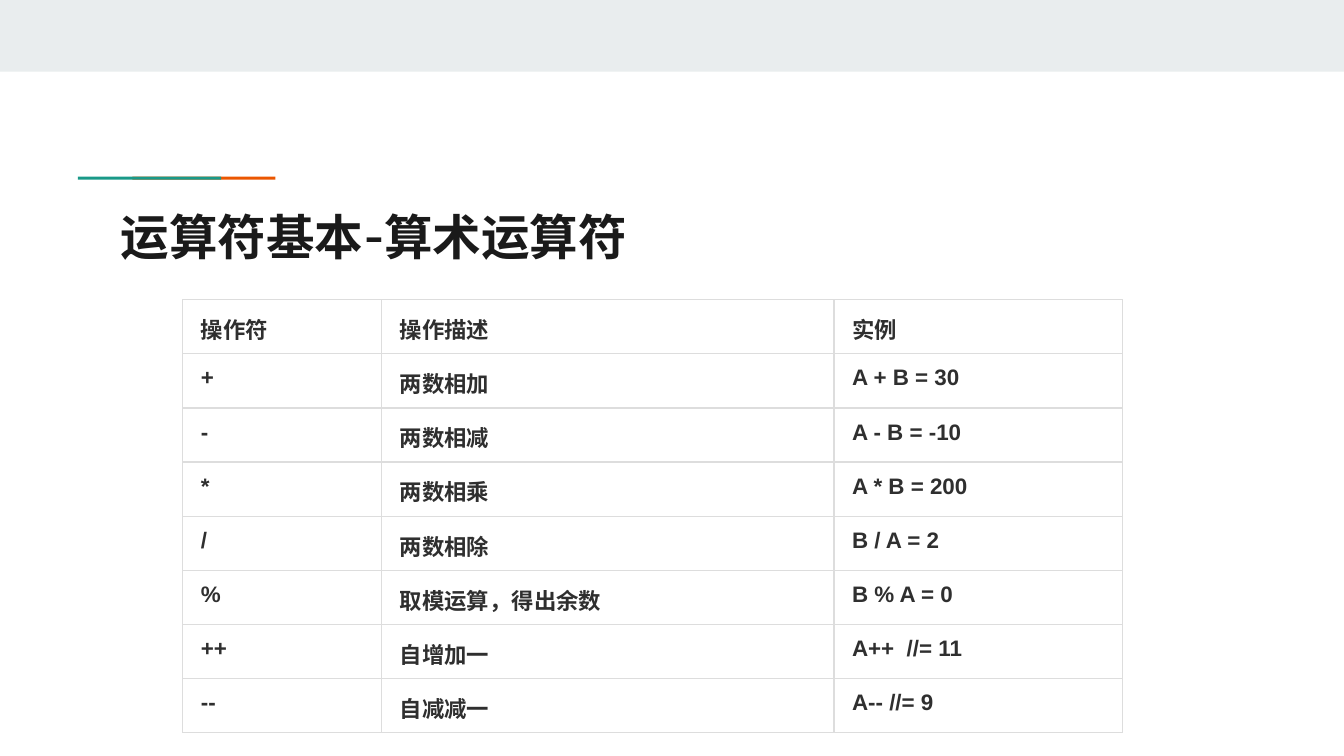
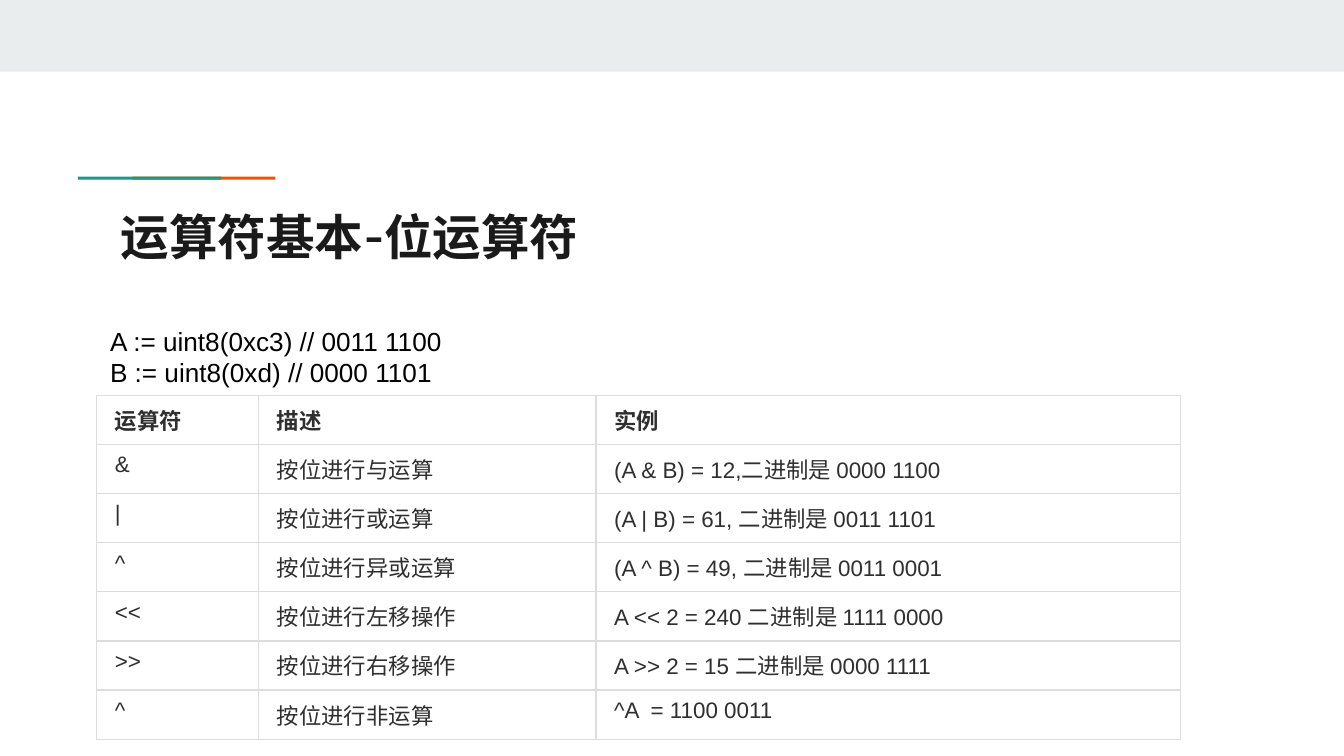
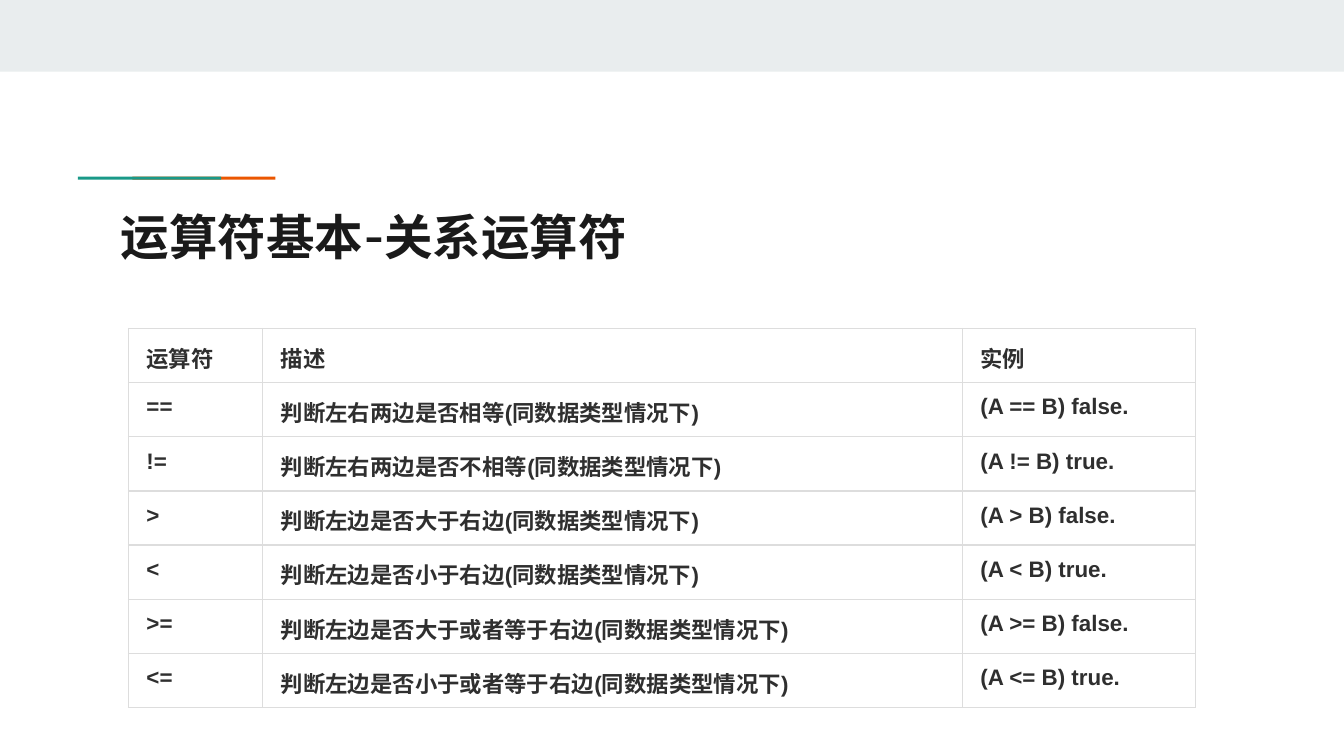
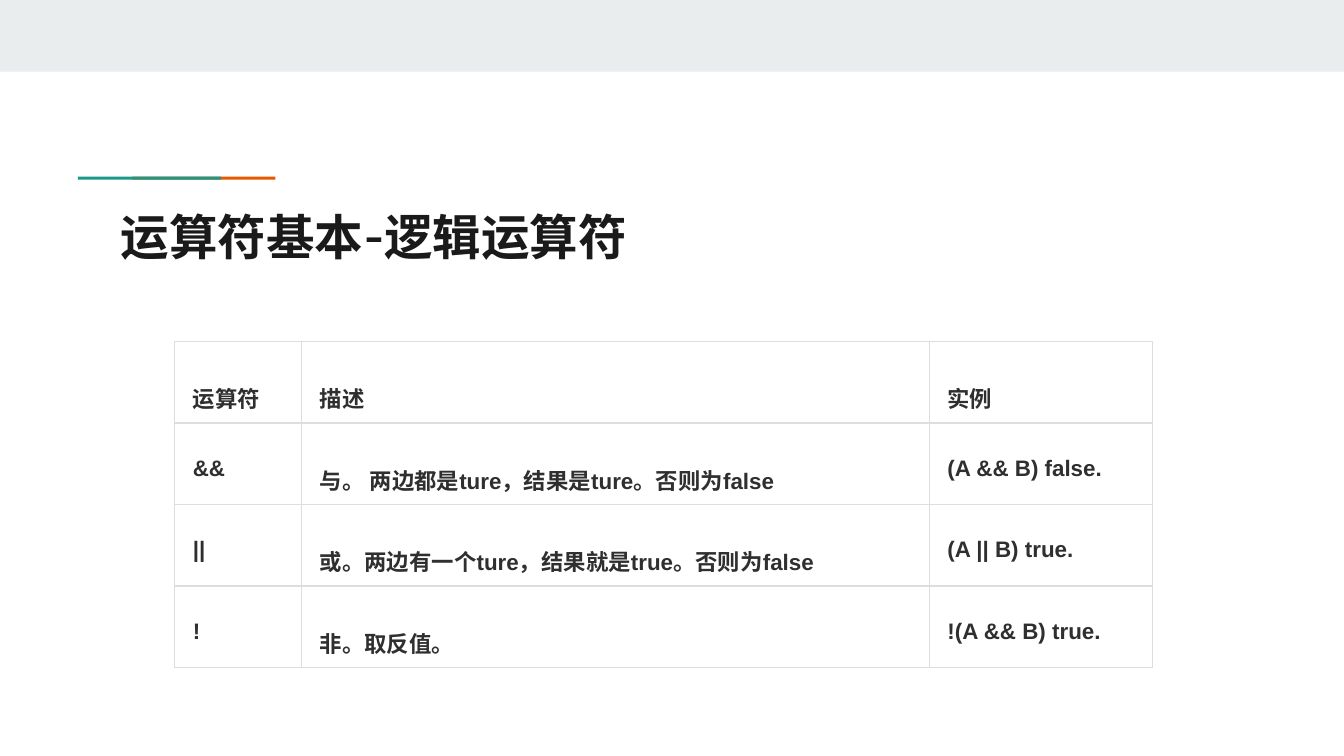
import pptx
import pptx.dml.color
import pptx.enum.shapes
import pptx.oxml
import pptx.oxml.ns
import pptx.util

COLORS = {
    "band": "E9EDEE", "teal": "1A9988", "orange": "EB5600", "title": "1A1A1A",
    "cell text": "2F2F2F", "border": "DDDDDD", "white": "FFFFFF", "code": "000000",
}
TITLE_FORMAT = {"name": "Manrope", "size": pptx.util.Pt(26), "bold": True}
CODE_FORMAT = {"name": "Arial", "size": pptx.util.Pt(14), "bold": False}
CELL_FORMAT = {"name": "Arial", "size": pptx.util.Pt(12)}

presentation = pptx.Presentation()
presentation.slide_width = pptx.util.Inches(10)
presentation.slide_height = pptx.util.Inches(5.625)
# The grid has 100 columns, and its rows are as high as the columns are wide.
GRID = presentation.slide_width // 100
CELL_MARGINS = {"margin_left": 1.35, "margin_right": 1.35, "margin_top": 0.6, "margin_bottom": 0.6}

# Left, top, width and height on the grid, then the colour
DECORATIONS = [
    (0, 0, 100, 5.33, "band"),
    (9.85, 13.15, 10.65, 0.22, "orange"),
    (5.8, 13.15, 10.65, 0.22, "teal"),
]

SLIDES = [
    {
        "title": "运算符基本-算术运算符",
        "left": 13.6, "top": 22.3, "columns": [14.8, 33.65, 21.5], "row": 4.03,
        "spacing": 1.15, "bold body": True,
        "cells": [
            ("操作符", "操作描述", "实例"),
            ("+", "两数相加", "A + B = 30"),
            ("-", "两数相减", "A - B = -10"),
            ("*", "两数相乘", "A * B = 200"),
            ("/", "两数相除", "B / A = 2"),
            ("%", "取模运算，得出余数", "B % A = 0"),
            ("++", "自增加一", "A++  //= 11"),
            ("--", "自减减一", "A-- //= 9"),
        ],
    },
    {
        "title": "运算符基本-位运算符",
        "code": "A := uint8(0xc3) // 0011 1100\vB := uint8(0xd) // 0000 1101",
        "left": 7.2, "top": 29.4, "columns": [12.05, 25.1, 43.5], "row": 3.66,
        "spacing": 1.0, "bold body": False,
        "cells": [
            ("运算符", "描述", "实例"),
            ("&", "按位进行与运算", "(A & B) = 12,二进制是 0000 1100"),
            ("|", "按位进行或运算", "(A | B) = 61, 二进制是 0011 1101"),
            ("^", "按位进行异或运算", "(A ^ B) = 49, 二进制是 0011 0001"),
            ("<<", "按位进行左移操作", "A << 2 = 240 二进制是 1111 0000"),
            (">>", "按位进行右移操作", "A >> 2 = 15 二进制是 0000 1111"),
            ("^", "按位进行非运算", "^A  = 1100 0011"),
        ],
    },
    {
        "title": "运算符基本-关系运算符",
        "left": 9.55, "top": 24.45, "columns": [10, 52.05, 17.35], "row": 4.03,
        "spacing": 1.15, "bold body": True,
        "cells": [
            ("运算符", "描述", "实例"),
            ("==", "判断左右两边是否相等(同数据类型情况下)", "(A == B) false."),
            ("!=", "判断左右两边是否不相等(同数据类型情况下)", "(A != B) true."),
            (">", "判断左边是否大于右边(同数据类型情况下)", "(A > B) false."),
            ("<", "判断左边是否小于右边(同数据类型情况下)", "(A < B) true."),
            (">=", "判断左边是否大于或者等于右边(同数据类型情况下)", "(A >= B) false."),
            ("<=", "判断左边是否小于或者等于右边(同数据类型情况下)", "(A <= B) true."),
        ],
    },
    {
        "title": "运算符基本-逻辑运算符",
        "left": 13, "top": 25.4, "columns": [9.45, 46.7, 16.6], "row": 6.07,
        "spacing": 2.0, "bold body": True,
        "cells": [
            ("运算符", "描述", "实例"),
            ("&&", "与。 两边都是ture，结果是ture。否则为false", "(A && B) false."),
            ("||", "或。两边有一个ture，结果就是true。否则为false", "(A || B) true."),
            ("!", "非。取反值。", "!(A && B) true."),
        ],
    },
]


def write(text_frame, text, formats, color, spacing=1.0):
    """Fill a text frame with one formatted paragraph."""
    paragraph = text_frame.paragraphs[0]
    paragraph.text = text
    paragraph.line_spacing = spacing
    for run in paragraph.runs:
        for attribute, value in formats.items():
            setattr(run.font, attribute, value)
        run.font.color.rgb = pptx.dml.color.RGBColor.from_string(COLORS[color])


def add_text(slide, box, text, formats, color):
    """Add a text box whose Chinese and Latin letters share one font."""
    shape = slide.shapes.add_textbox(*[round(length * GRID) for length in box])
    frame = shape.text_frame
    frame.word_wrap = True
    for side in ("left", "right", "top", "bottom"):
        setattr(frame, f"margin_{side}", GRID)
    write(frame, text, formats, color)
    for latin in frame._txBody.iter(pptx.oxml.ns.qn("a:latin")):
        latin.addnext(pptx.oxml.parse_xml(
            f'<a:ea {pptx.oxml.ns.nsdecls("a")} typeface="{formats["name"]}"/>'))


for content in SLIDES:
    slide = presentation.slides.add_slide(presentation.slide_layouts[6])

    for *box, color in DECORATIONS:
        shape = slide.shapes.add_shape(
            pptx.enum.shapes.MSO_SHAPE.RECTANGLE, *[round(length * GRID) for length in box])
        shape.shadow.inherit = False
        shape.fill.solid()
        shape.fill.fore_color.rgb = pptx.dml.color.RGBColor.from_string(COLORS[color])
        shape.line.fill.background()

    add_text(slide, (8, 14.4, 84.1, 5.9), content["title"], TITLE_FORMAT, "title")

    rows, columns = content["cells"], content["columns"]
    table_box = (content["left"], content["top"], sum(columns), content["row"] * len(rows))
    table = slide.shapes.add_table(
        len(rows), len(columns), *[round(length * GRID) for length in table_box]).table
    table.first_row = table.horz_banding = False
    for column, width in zip(table.columns, columns):
        column.width = round(width * GRID)

    for row_index, row in enumerate(rows):
        for column_index, text in enumerate(row):
            cell = table.cell(row_index, column_index)
            for margin, length in CELL_MARGINS.items():
                setattr(cell, margin, round(length * GRID))
            bold = row_index == 0 or content["bold body"]
            write(cell.text_frame, text, {**CELL_FORMAT, "bold": bold},
                  "cell text", content["spacing"])
            properties = cell._tc.get_or_add_tcPr()
            for side in "LRTB":
                properties.append(pptx.oxml.parse_xml(
                    f'<a:ln{side} {pptx.oxml.ns.nsdecls("a")} w="{pptx.util.Pt(0.75)}">'
                    f'<a:solidFill><a:srgbClr val="{COLORS["border"]}"/></a:solidFill>'
                    f'</a:ln{side}>'))
            cell.fill.solid()
            cell.fill.fore_color.rgb = pptx.dml.color.RGBColor.from_string(COLORS["white"])

    if "code" in content:
        add_text(slide, (7.2, 23.2, 40.1, 4.7), content["code"], CODE_FORMAT, "code")

presentation.save("out.pptx")
